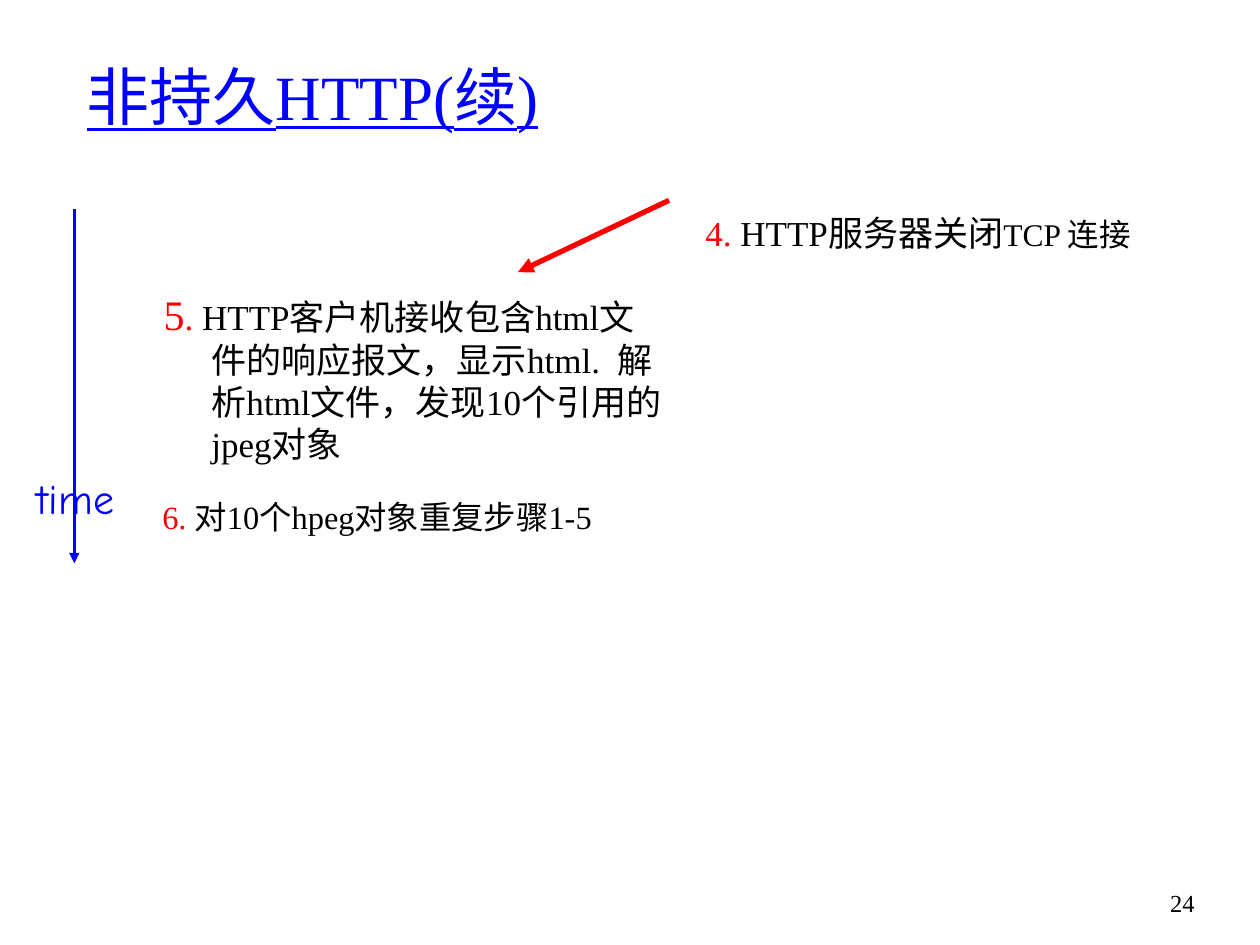
from dataclasses import dataclass

import pptx
import pptx.dml.color
import pptx.enum.shapes
import pptx.enum.text
import pptx.oxml
import pptx.oxml.ns
import pptx.util

Inches, Pt = pptx.util.Inches, pptx.util.Pt
RGB = pptx.dml.color.RGBColor.from_string
Align, Fit = pptx.enum.text.PP_ALIGN, pptx.enum.text.MSO_AUTO_SIZE
NS = pptx.oxml.ns.nsdecls("a")


@dataclass(frozen=True)
class Theme:
    blue: str = "0000FF"
    red: str = "FF0000"
    black: str = "000000"
    serif: str = "Times New Roman"
    hand: str = "Comic Neue"
    title: float = 36
    large: float = 24
    body: float = 20
    step: float = 18.5
    small: float = 18
    page: float = 14


T = Theme()


def apply(target, values):
    for name, value in values.items():
        setattr(target, name, value)


def place(shape, box):
    names = ("left", "top", "width", "height")
    apply(shape, dict(zip(names, map(Inches, box))))


def write(para, text, size, color, font=T.serif, **extra):
    run = para.add_run()
    run.text = text
    apply(run.font, {"name": font, "size": Pt(size), **extra})
    run.font.color.rgb = RGB(color)


def add_title(slide, text, box):
    shape = slide.shapes.title
    place(shape, box)
    apply(shape.text_frame, {
        "auto_size": Fit.NONE,
        "word_wrap": True,
        "vertical_anchor": pptx.enum.text.MSO_ANCHOR.MIDDLE,
    })
    para = shape.text_frame.paragraphs[0]
    para.alignment = Align.LEFT
    write(para, text, T.title, T.blue, underline=True)


def add_text(slide, box, runs, align=Align.LEFT, hang=0):
    """Add a one-paragraph box; runs are (text, size, color[, font])."""
    shape = slide.shapes.add_textbox(*map(Inches, box))
    apply(shape.text_frame, {"word_wrap": True, "auto_size": Fit.NONE})
    para = shape.text_frame.paragraphs[0]
    para.alignment = align
    if hang:
        props = para._p.get_or_add_pPr()
        props.set("marL", str(Inches(hang)))
        props.set("indent", str(-Inches(hang)))
    for run in runs:
        write(para, *run)


def add_arrow(slide, start, end, color, width):
    line = slide.shapes.add_connector(
        pptx.enum.shapes.MSO_CONNECTOR.STRAIGHT, *map(Inches, start + end))
    line.line.color.rgb = RGB(color)
    line.line.width = Pt(width)
    line.line._get_or_add_ln().append(
        pptx.oxml.parse_xml(f'<a:tailEnd {NS} type="triangle"/>'))
    line._element.spPr.append(pptx.oxml.parse_xml(f"<a:effectLst {NS}/>"))


def main():
    deck = pptx.Presentation()
    apply(deck, {"slide_width": Inches(10), "slide_height": Inches(7.5)})
    slide = deck.slides.add_slide(deck.slide_layouts[5])

    add_title(slide, "非持久HTTP(续)", (0.59, 0.28, 8.5, 0.95))
    steps = [
        ((1.2, 2.24, 4.17, 1.68), [
            ("5", T.large, T.red),
            (".", T.body, T.red),
            (" HTTP客户机接收包含html文件的响应报文，显示html.  "
             "解析html文件，发现10个引用的 jpeg对象", T.body, T.black),
        ]),
        ((1.19, 3.9, 4.17, 0.73), [
            ("6. ", T.step, T.red),
            ("对10个hpeg对象重复步骤1-5", T.step, T.black),
        ]),
        ((5.5, 1.63, 4.17, 0.8), [
            ("4.", T.body, T.red),
            (" HTTP服务器关闭", T.body, T.black),
            ("TCP 连接", T.small, T.black),
        ]),
    ]
    for box, runs in steps:
        add_text(slide, box, runs, hang=0.38)

    add_arrow(slide, (0.59, 1.66), (0.59, 4.47), T.blue, 1.5)
    add_text(slide, (0.1, 3.7, 1, 0.5),
             [("time", T.large, T.blue, T.hand)], Align.CENTER)
    add_arrow(slide, (5.31, 1.59), (4.11, 2.16), T.red, 3)
    add_text(slide, (9.08, 7, 0.5, 0.5),
             [("24", T.page, T.black)], Align.RIGHT)
    deck.save("out.pptx")


if __name__ == "__main__":
    main()
